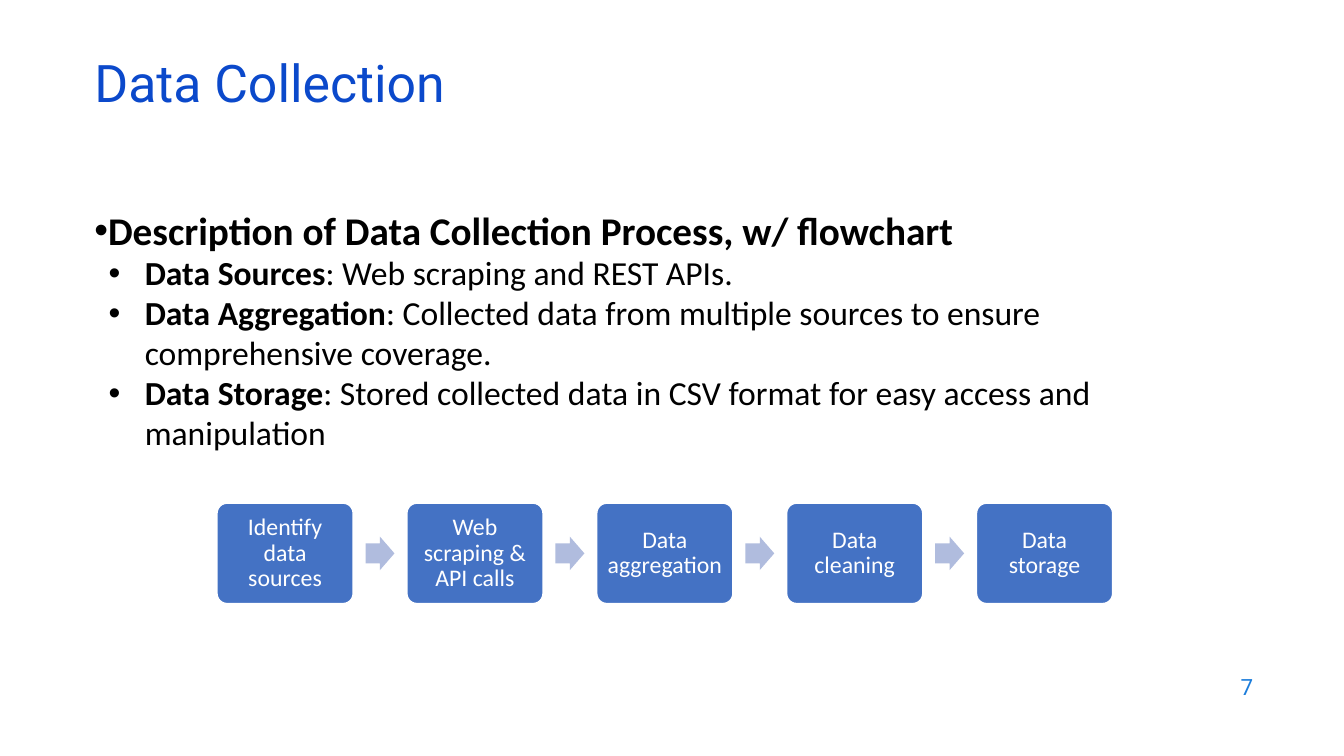
from lxml import etree
from pptx import Presentation
from pptx import util as u
from pptx.dml.color import RGBColor
from pptx.enum import shapes, text
from pptx.oxml.ns import qn

BLACK, WHITE = "000000", "FFFFFF"
HEAD = "Description of Data Collection Process, w/ flowchart"
POINTS = [
    ("Data Sources", ": Web scraping and REST APIs."),
    ("Data Aggregation", ": Collected data from multiple sources to ensure comprehensive coverage."),
    ("Data Storage", ": Stored collected data in CSV format for easy access and manipulation"),
]
STEPS = ["Identify data sources", "Web scraping & API calls", "Data aggregation",
         "Data cleaning", "Data storage"]


def tint(code):
    """Turn a hex string into a colour."""
    return RGBColor.from_string(code)


def write(para, words, size=24, font="Calibri", color=BLACK, bold=False,
          align=text.PP_ALIGN.LEFT, space=1.0):
    """Add one formatted run to a paragraph."""
    para.alignment, para.line_spacing = align, space
    run = para.add_run()
    run.text = words
    face = run.font
    face.size, face.name, face.bold = u.Pt(size), font, bold
    face.color.rgb = tint(color)


def bullet(para, left=0, hang=0):
    """Give a paragraph a round bullet and its indents in cm."""
    props = para._p.get_or_add_pPr()
    props.set("marL", str(u.Cm(left)))
    props.set("indent", str(-u.Cm(hang)))
    etree.SubElement(props, qn("a:buFont")).set("typeface", "Arial")
    etree.SubElement(props, qn("a:buChar")).set("char", "•")


def frame(slide, box, anchor=text.MSO_ANCHOR.MIDDLE):
    """Add a wrapping text box and return its text frame."""
    body = slide.shapes.add_textbox(*map(u.Cm, box)).text_frame
    body.word_wrap, body.vertical_anchor = True, anchor
    return body


def label(slide, box, words, **form):
    """Place a single line of text."""
    write(frame(slide, box).paragraphs[0], words, **form)


def outline(slide, box):
    """Place the heading and its bulleted points."""
    body = frame(slide, box, text.MSO_ANCHOR.TOP)
    para = body.paragraphs[0]
    bullet(para)
    write(para, HEAD, size=28, bold=True)
    for term, rest in POINTS:
        para = body.add_paragraph()
        bullet(para, 1.27, 0.91)
        write(para, term, bold=True, space=0.99)
        write(para, rest, space=0.99)


def block(slide, kind, box, fill, *adjust):
    """Add a filled preset shape with no shadow or line."""
    shape = slide.shapes.add_shape(kind, *map(u.Cm, box))
    shape.shadow.inherit = False
    shape.fill.solid()
    shape.fill.fore_color.rgb = tint(fill)
    shape.line.fill.background()
    for i, value in enumerate(adjust):
        shape.adjustments[i] = value
    return shape


def step(slide, box, words):
    """Place one rounded step with its caption."""
    card = block(slide, shapes.MSO_SHAPE.ROUNDED_RECTANGLE, box, "4472C4", 0.1)
    card.line.color.rgb, card.line.width = tint(WHITE), u.Pt(1)
    body = card.text_frame
    body.word_wrap, body.vertical_anchor = True, text.MSO_ANCHOR.MIDDLE
    body.margin_left = body.margin_right = u.Cm(0.17)
    body.margin_top = body.margin_bottom = u.Cm(0.17)
    write(body.paragraphs[0], words, size=17, color=WHITE,
          align=text.PP_ALIGN.CENTER, space=0.9)


def flow(slide, box):
    """Spread the steps over a box, with an arrow in each gap."""
    left, top, width, height = box
    wide, tall, card = 0.73, 0.84, 3.43
    pitch = (width - card) / (len(STEPS) - 1)
    for i, words in enumerate(STEPS):
        x = left + i * pitch
        step(slide, (x, top, card, height), words)
        if i < len(STEPS) - 1:
            spot = (x + (card + pitch - wide) / 2, top + (height - tall) / 2, wide, tall)
            block(slide, shapes.MSO_SHAPE.RIGHT_ARROW, spot, "B0BCDE", 0.6, 0.5)


def main():
    """Build and save the slide."""
    deck = Presentation()
    deck.slide_width, deck.slide_height = u.Cm(33.87), u.Cm(19.05)
    slide = deck.slides.add_slide(deck.slide_layouts[6])
    label(slide, (2.13, 1.5, 29.21, 1.52), "Data Collection",
          size=37, font="Roboto", color="0B49CB", space=0.7)
    outline(slide, (2.13, 5.08, 29.21, 12.09))
    flow(slide, (5.47, 12.68, 22.57, 2.53))
    label(slide, (24.21, 16.74, 7.62, 1.12), "7", size=16, font="Roboto",
          color="1C7DDB", align=text.PP_ALIGN.RIGHT)
    deck.save("out.pptx")


if __name__ == "__main__":
    main()
